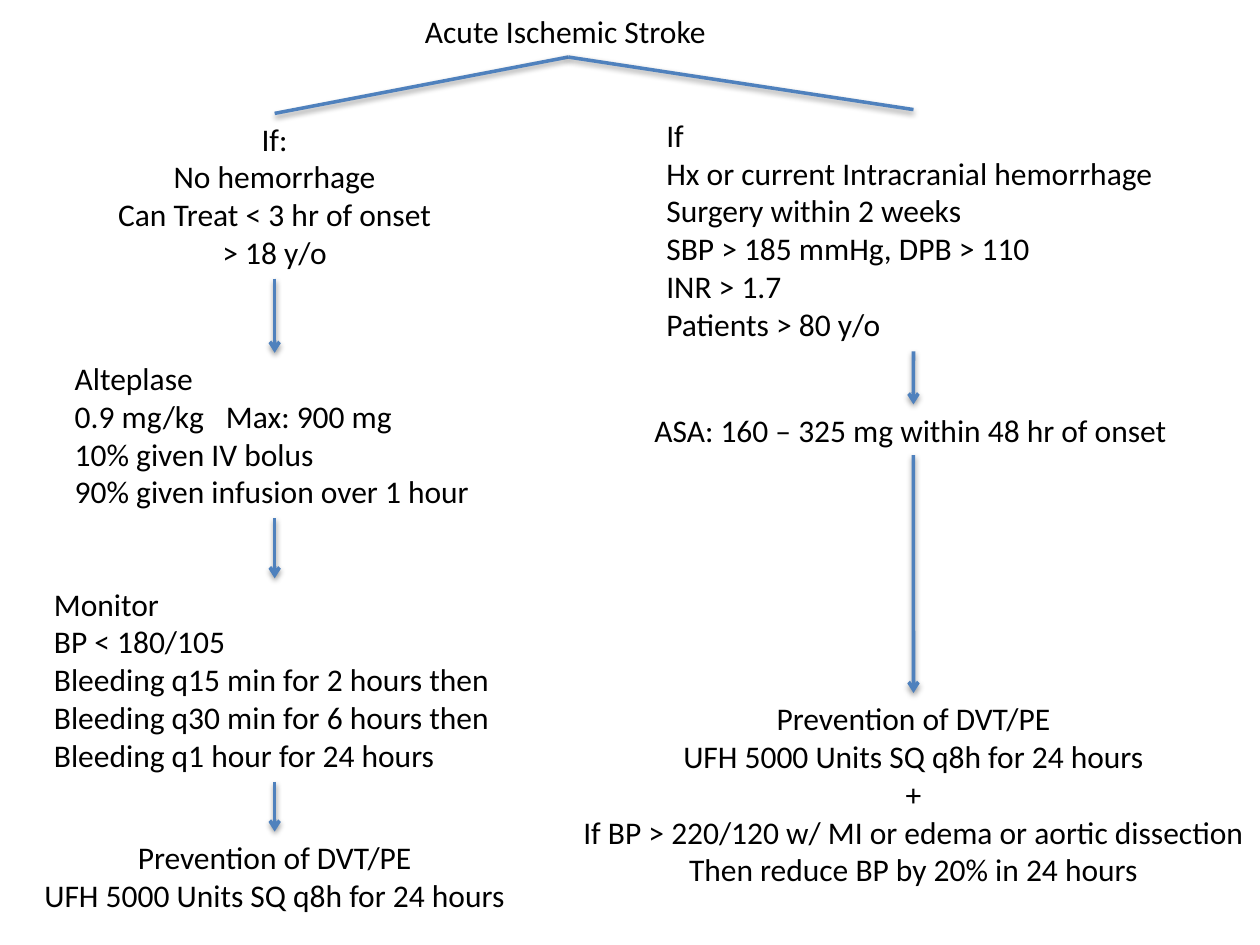
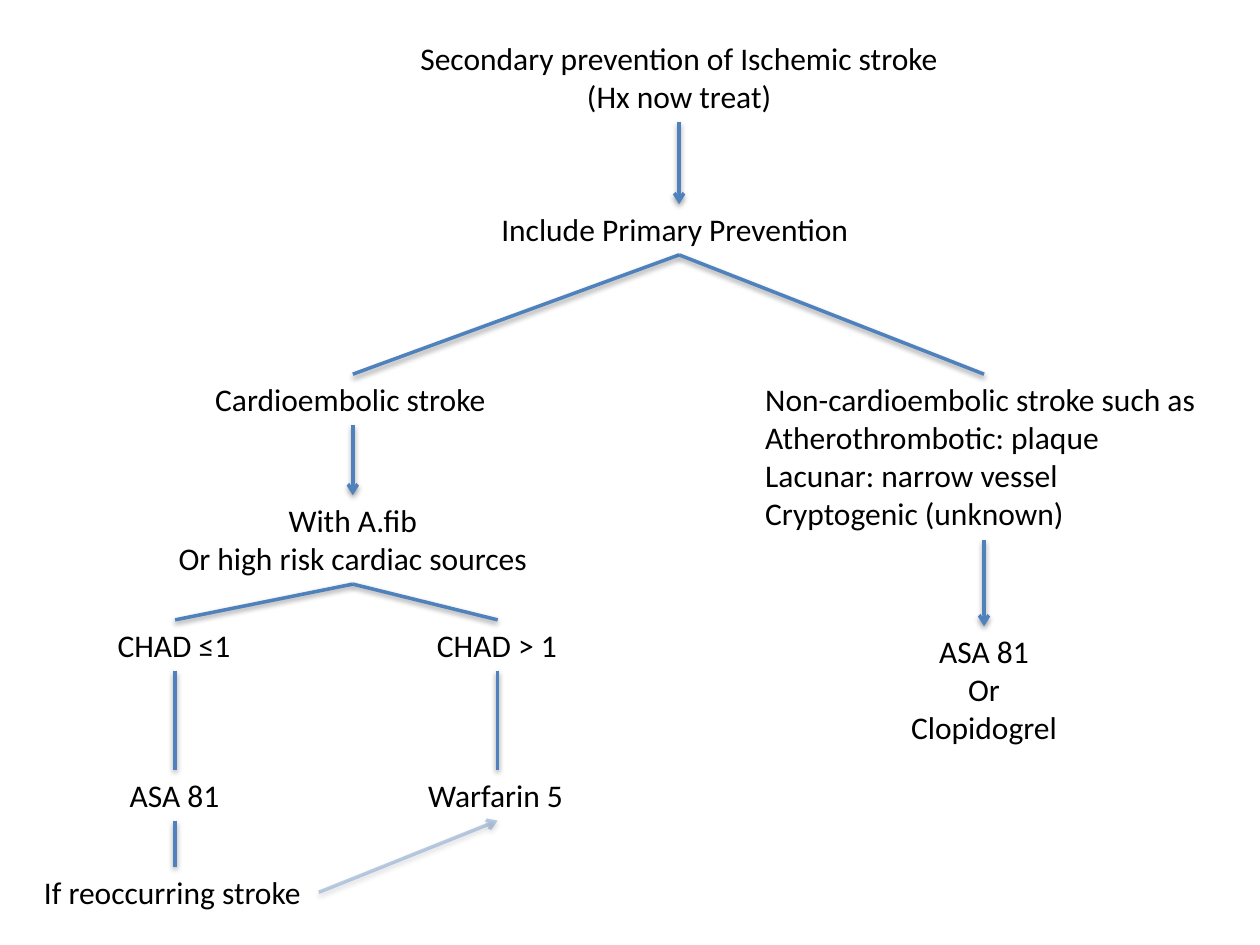
from dataclasses import dataclass

from lxml import etree
from pptx import Presentation, util as u
from pptx.dml.color import RGBColor
from pptx.enum import shapes, text
from pptx.oxml.ns import qn

TOP, LEFT, BOTTOM, RIGHT = range(4)
CENTER, FLUSH = text.PP_ALIGN.CENTER, text.PP_ALIGN.LEFT


@dataclass(frozen=True)
class Theme:
    font: str = "Calibri"
    size: int = 18
    ink: RGBColor = RGBColor(0x00, 0x00, 0x00)
    line: RGBColor = RGBColor(0x4F, 0x81, 0xBD)
    line_width: float = 2
    line_height: float = 0.303
    margins: float = 0.1


def write(frame, lines, theme, align=FLUSH, tab=None):
    """Fill the frame with one paragraph per line; tab is a stop in inches."""
    for number, line in enumerate(lines):
        paragraph = frame.add_paragraph() if number else frame.paragraphs[0]
        paragraph.text = line
        paragraph.alignment = align
        if tab and "\t" in line:
            stops = etree.SubElement(paragraph._p.get_or_add_pPr(), qn("a:tabLst"))
            etree.SubElement(stops, qn("a:tab"), pos=str(u.Inches(tab)), algn="l")
        font = paragraph.runs[0].font
        font.name, font.size = theme.font, u.Pt(theme.size)
        font.color.rgb = theme.ink


class Flowchart:
    def __init__(self, theme):
        self.theme = theme
        self.deck = Presentation()
        self.deck.slide_width, self.deck.slide_height = u.Inches(10), u.Inches(7.5)
        self.slide = None

    def new_slide(self):
        self.slide = self.deck.slides.add_slide(self.deck.slide_layouts[6])

    def step(self, center, top, width, *lines, **style):
        """Add a text box centred on a column, as tall as its lines need."""
        height = self.theme.margins + self.theme.line_height * len(lines)
        box = self.slide.shapes.add_textbox(
            u.Inches(center - width / 2), u.Inches(top), u.Inches(width), u.Inches(height))
        frame = box.text_frame
        frame.word_wrap = False
        frame.auto_size = text.MSO_AUTO_SIZE.SHAPE_TO_FIT_TEXT
        write(frame, lines, self.theme, **style)
        return box

    def link(self, start, end, arrow=False, start_side=BOTTOM, end_side=TOP, opacity=None):
        """Join two steps; the soft shadow comes from the theme's connector style."""
        connector = self.slide.shapes.add_connector(shapes.MSO_CONNECTOR.STRAIGHT, 0, 0, 0, 0)
        connector.begin_connect(start, start_side)
        connector.end_connect(end, end_side)
        connector.line.color.rgb = self.theme.line
        connector.line.width = u.Pt(self.theme.line_width)
        outline = connector.line._get_or_add_ln()
        if opacity:
            color = outline.find(".//" + qn("a:srgbClr"))
            etree.SubElement(color, qn("a:alpha"), val=str(opacity * 1000))
        if arrow:
            etree.SubElement(outline, qn("a:tailEnd"), type="arrow")

    def chain(self, *steps, arrow=True):
        for start, end in zip(steps, steps[1:]):
            self.link(start, end, arrow)

    def fork(self, start, *ends):
        for end in ends:
            self.link(start, end)


def acute_stroke(chart):
    chart.new_slide()
    treat_x, exclude_x = 2.18, 7.25
    dvt = ("Prevention of DVT/PE", "UFH 5000 Units SQ q8h for 24 hours")

    stroke = chart.step(4.51, 0.05, 2.47, "Acute Ischemic Stroke")
    eligible = chart.step(treat_x, 0.9, 2.73, "If:", "No hemorrhage",
                          "Can Treat < 3 hr of onset", "> 18 y/o", align=CENTER)
    alteplase = chart.step(treat_x, 2.8, 3.37, "Alteplase", "0.9 mg/kg\tMax: 900 mg",
                           "10% given IV bolus", "90% given infusion over 1 hour", tab=1.2)
    monitor = chart.step(treat_x, 4.59, 3.7, "Monitor", "BP < 180/105",
                         "Bleeding q15 min for 2 hours then",
                         "Bleeding q30 min for 6 hours then",
                         "Bleeding q1 hour for 24 hours")
    treated_dvt = chart.step(treat_x, 6.6, 3.9, *dvt, align=CENTER)

    excluded = chart.step(exclude_x, 0.87, 4.12, "If",
                          "Hx or current Intracranial hemorrhage",
                          "Surgery within 2 weeks", "SBP > 185 mmHg, DPB > 110",
                          "INR > 1.7", "Patients > 80 y/o")
    asa = chart.step(exclude_x, 3.21, 4.31, "ASA: 160 – 325 mg within 48 hr of onset")
    excluded_dvt = chart.step(exclude_x, 5.5, 5.49, *dvt, "+",
                              "If BP > 220/120 w/ MI or edema or aortic dissection",
                              "Then reduce BP by 20% in 24 hours", align=CENTER)

    chart.fork(stroke, eligible, excluded)
    chart.chain(eligible, alteplase, monitor, treated_dvt)
    chart.chain(excluded, asa, excluded_dvt)


def secondary_prevention(chart):
    chart.new_slide()
    root_x, cardiac_x, other_x = 5.39, 2.8, 7.81
    low_x, high_x = 1.39, 3.95
    branch_y, chad_y, drug_y = 2.97, 4.92, 6.11

    secondary = chart.step(root_x, 0.26, 4.37, "Secondary prevention of Ischemic stroke",
                           "(Hx now treat)", align=CENTER)
    primary = chart.step(root_x, 1.62, 3.02, "Include Primary Prevention")
    cardioembolic = chart.step(cardiac_x, branch_y, 2.38, "Cardioembolic stroke")
    a_fib = chart.step(cardiac_x, 3.93, 3.01, "With A.fib",
                       "Or high risk cardiac sources", align=CENTER)
    low_chad = chart.step(low_x, chad_y, 1.11, "CHAD ≤1")
    high_chad = chart.step(high_x, chad_y, 1.16, "CHAD > 1")
    asa = chart.step(low_x, drug_y, 0.92, "ASA 81")
    warfarin = chart.step(high_x, drug_y, 1.3, "Warfarin 5")
    reoccurring = chart.step(low_x, 6.88, 2.28, "If reoccurring stroke")
    non_cardioembolic = chart.step(other_x, branch_y, 3.67, "Non-cardioembolic stroke such as",
                                   "Atherothrombotic: plaque", "Lacunar: narrow vessel",
                                   "Cryptogenic (unknown)")
    antiplatelet = chart.step(other_x, 4.97, 1.37, "ASA 81", "Or", "Clopidogrel", align=CENTER)

    chart.chain(secondary, primary)
    chart.fork(primary, cardioembolic, non_cardioembolic)
    chart.chain(cardioembolic, a_fib)
    chart.chain(non_cardioembolic, antiplatelet)
    chart.fork(a_fib, low_chad, high_chad)
    chart.chain(low_chad, asa, reoccurring, arrow=False)
    chart.chain(high_chad, warfarin, arrow=False)
    chart.link(reoccurring, warfarin, arrow=True, start_side=RIGHT, end_side=BOTTOM, opacity=38)


def main():
    chart = Flowchart(Theme())
    acute_stroke(chart)
    secondary_prevention(chart)
    chart.deck.save("out.pptx")


if __name__ == "__main__":
    main()
